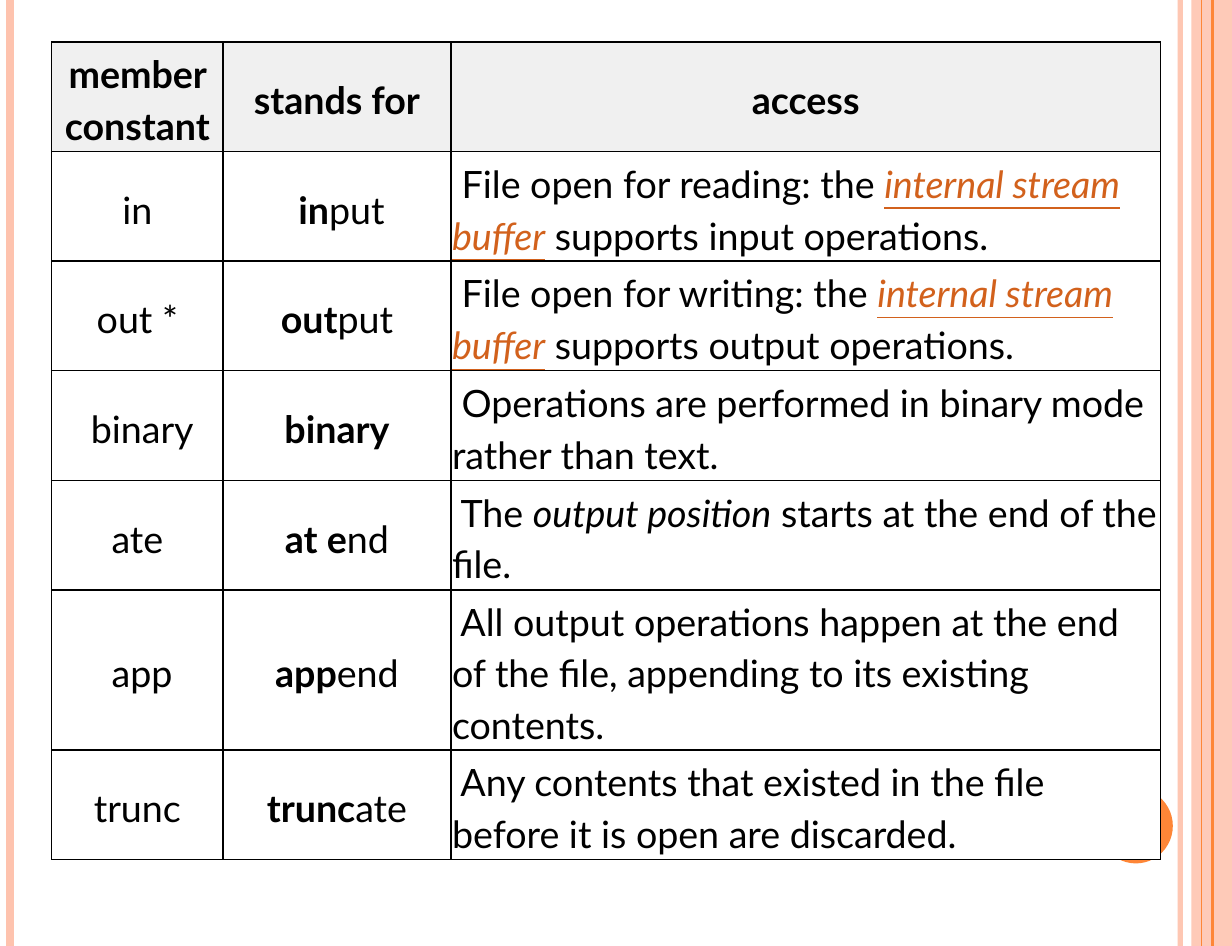
import lxml.etree
import pptx
import pptx.dml.color
import pptx.enum.shapes
import pptx.enum.text
import pptx.oxml.ns
import pptx.util

inch = pptx.util.Inches
align = pptx.enum.text.PP_ALIGN
kinds = pptx.enum.shapes.MSO_SHAPE
qn = pptx.oxml.ns.qn

WIDE, HIGH = 10, 7.68
PEACH, ORANGE, RUST = "FEC3AE", "FE8637", "D2611C"
BLACK, WHITE, GREY = "000000", "FFFFFF", "F0F0F0"


def paint(fill, tone, alpha=100):
    """Give a fill a solid colour, alpha being its opacity in percent."""
    fill.solid()
    fill.fore_color.rgb = pptx.dml.color.RGBColor.from_string(tone)
    if alpha < 100:
        tint = fill._xPr.find(".//" + qn("a:srgbClr"))
        lxml.etree.SubElement(tint, qn("a:alpha")).set("val", str(alpha * 1000))


deck = pptx.Presentation()
deck.slide_width, deck.slide_height = inch(WIDE), inch(HIGH)
slide = deck.slides.add_slide(deck.slide_layouts[6])
paint(slide.background.fill, WHITE)
shapes = slide.shapes

# Side band, with the disc that the table partly covers
for kind, box, tone, alpha in [
    (kinds.RECTANGLE, (9.67, 0, 0.33, HIGH), PEACH, 87),
    (kinds.OVAL, (8.92, 6.4, 0.6, 0.61), ORANGE, 100),
]:
    shape = shapes.add_shape(kind, *map(inch, box))
    shape.shadow.inherit = False
    paint(shape.fill, tone, alpha)
    shape.line.fill.background()

# Upright rules over the full height
for x, tone, thick, alpha in [
    (9.58, PEACH, 3, 93),
    (0.08, PEACH, 4.5, 100),
    (9.84, ORANGE, 1.5, 100),
    (9.75, ORANGE, 0.75, 100),
]:
    rule = shapes.add_connector(
        pptx.enum.shapes.MSO_CONNECTOR.STRAIGHT, inch(x), 0, inch(x), inch(HIGH))
    rule.line.width = pptx.util.Pt(thick)
    paint(rule.line.fill, tone, alpha)
    lxml.etree.SubElement(rule._element.spPr, qn("a:effectLst"))

# A bar parts the runs of a cell; each column has its own run styles
rows = [
    ("member constant", "stands for", "access"),
    ("in", " in|put",
     " File open for reading: the |internal stream buffer| supports input operations."),
    ("out *", "out|put",
     " File open for writing: the |internal stream buffer| supports output operations."),
    (" binary", "binary",
     " Operations are performed in binary mode rather than text."),
    ("ate", "at e|nd",
     " The |output position| starts at the end of the file."),
    (" app", "app|end",
     " All output operations happen at the end of the file, "
     "appending to its existing contents."),
    ("trunc", "trunc|ate",
     " Any contents that existed in the file before it is open are discarded."),
]
plain, bold, slant = {}, {"bold": True}, {"italic": True}
link = {"italic": True, "underline": True}
styles = [[plain], [bold, plain], [plain, slant, plain]]
cols = [1.39, 1.85, 5.76]
tall = [0.89] * 5 + [1.3, 0.89]
inset = inch(0.01)

frame = shapes.add_table(len(rows), len(cols), inch(0.42), inch(0.34),
                         inch(sum(cols)), inch(sum(tall)))
table = frame.table
for col, size in zip(table.columns, cols):
    col.width = inch(size)
for row, size in zip(table.rows, tall):
    row.height = inch(size)

for r, texts in enumerate(rows):
    for c, text in enumerate(texts):
        cell = table.cell(r, c)
        for side in ("left", "right", "top", "bottom"):
            setattr(cell, "margin_" + side, inset)
        cell.vertical_anchor = pptx.enum.text.MSO_ANCHOR.MIDDLE
        para = cell.text_frame.paragraphs[0]
        para.alignment = align.LEFT if r and c == 2 else align.CENTER
        para.line_spacing = 1.15
        for part, style in zip(text.split("|"), styles[c] if r else [bold]):
            if part.startswith("internal"):
                style = link
            run = para.add_run()
            run.text = part
            looks = {"name": "Lato", "size": pptx.util.Pt(22), "bold": False}
            for key, value in (looks | style).items():
                setattr(run.font, key, value)
            paint(run.font.fill, RUST if style is link else BLACK)

        # Borders must come before the fill in the cell's properties
        props = cell._tc.get_or_add_tcPr()
        for tag in ("a:lnL", "a:lnR", "a:lnT", "a:lnB"):
            edge = lxml.etree.SubElement(props, qn(tag), w="12700")
            solid = lxml.etree.SubElement(edge, qn("a:solidFill"))
            lxml.etree.SubElement(solid, qn("a:srgbClr"), val=BLACK)
        paint(cell.fill, WHITE if r else GREY)

deck.save("out.pptx")
